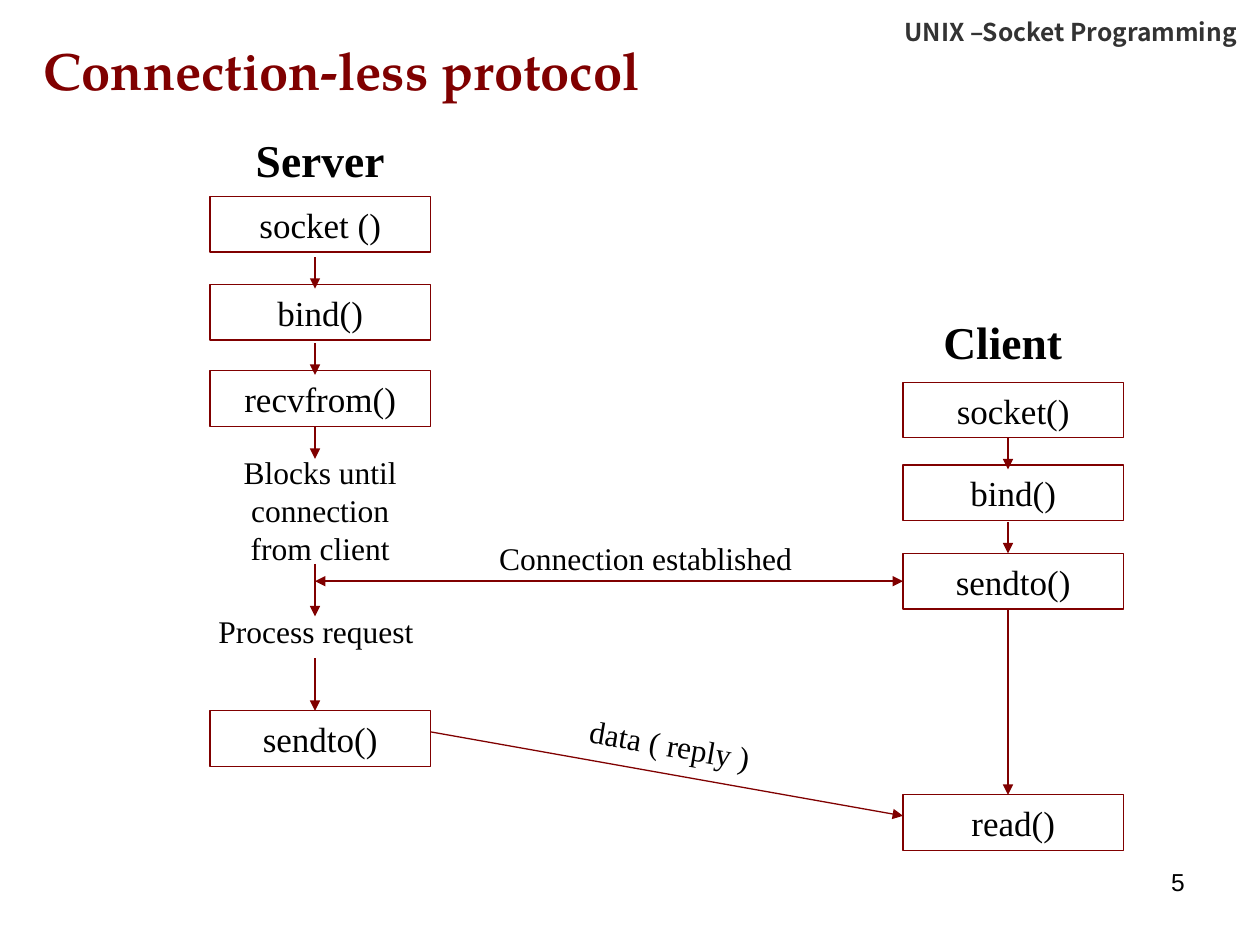
from lxml.etree import SubElement
from pptx import Presentation
from pptx.dml.color import RGBColor
from pptx.enum.shapes import MSO_CONNECTOR, MSO_SHAPE
from pptx.enum.text import MSO_AUTO_SIZE, PP_ALIGN
from pptx.oxml.ns import qn
from pptx.util import Inches, Pt

COLUMNS, ROWS = 120, 90
BOX_WIDTH, BOX_HEIGHT = 21, 5.3
SERVER_LEFT, CLIENT_LEFT = 20, 86
SERVER_FLOW, CLIENT_FLOW = 30, 96


def color(value):
    return RGBColor.from_string(value)


class FlowPage:
    """Draws a socket call flow on a grid of 120 columns by 90 rows."""

    maroon, black, gray = "800000", "000000", "333333"
    serif, title_font = "Times New Roman", "TeX Gyre Pagella"
    header_font, number_font = "Noto Sans CJK TC", "Arial"

    def __init__(self, deck):
        self.column = deck.slide_width / COLUMNS
        self.row = deck.slide_height / ROWS
        self.page = deck.slides.add_slide(deck.slide_layouts[6])

    def place(self, left, top, width, height):
        return (round(left * self.column), round(top * self.row),
                round(width * self.column), round(height * self.row))

    def fill_text(self, shape, words, size, font, ink, bold, align):
        frame = shape.text_frame
        frame.text = words
        frame.word_wrap = True
        frame.auto_size = MSO_AUTO_SIZE.SHAPE_TO_FIT_TEXT
        para = frame.paragraphs[0]
        para.alignment = align
        for span in para.runs:
            span.font.name = font
            span.font.size = Pt(size)
            span.font.bold = bold
            span.font.color.rgb = color(ink)

    def text(self, words, left, top, width, height, size=18, font=serif,
             ink=black, bold=False, align=PP_ALIGN.CENTER, turn=0):
        box = self.page.shapes.add_textbox(*self.place(left, top, width, height))
        self.fill_text(box, words, size, font, ink, bold, align)
        box.rotation = turn

    def call(self, words, left, top):
        box = self.page.shapes.add_shape(
            MSO_SHAPE.RECTANGLE, *self.place(left, top, BOX_WIDTH, BOX_HEIGHT))
        box.shadow.inherit = False
        box.fill.background()
        box.line.color.rgb = color(self.maroon)
        box.line.width = Pt(0.75)
        self.fill_text(box, words, 20, self.serif, self.black, False, PP_ALIGN.CENTER)
        return box

    def arrow(self, left, top, right, bottom, both=False):
        line = self.page.shapes.add_connector(
            MSO_CONNECTOR.STRAIGHT, *self.place(left, top, right, bottom))
        line.line.color.rgb = color(self.maroon)
        line.line.width = Pt(0.75)
        outline = line.line._get_or_add_ln()
        for end in ("a:headEnd", "a:tailEnd") if both else ("a:tailEnd",):
            SubElement(outline, qn(end)).set("type", "triangle")
        SubElement(line._element.spPr, qn("a:effectLst"))
        return line


def main():
    deck = Presentation()
    deck.slide_width, deck.slide_height = Inches(10), Inches(7.5)
    flow = FlowPage(deck)

    flow.text("UNIX –Socket Programming", 63, 1, 56, 4, 14, flow.header_font,
              flow.gray, True, PP_ALIGN.RIGHT)
    flow.text("Connection-less protocol", 3, 3, 80, 7.2, 30, flow.title_font,
              flow.maroon, True, PP_ALIGN.LEFT)
    flow.text("Server", SERVER_LEFT, 12, BOX_WIDTH, 6.5, 26, bold=True)
    flow.text("Client", 85, 29.3, BOX_WIDTH, 6.5, 26, bold=True)

    server_calls = [("socket ()", 18.7), ("bind()", 27.1),
                    ("recvfrom()", 35.3), ("sendto()", 67.7)]
    client_calls = [("socket()", 36.4), ("bind()", 44.3),
                    ("sendto()", 52.7), ("read()", 75.7)]
    for words, top in server_calls:
        flow.call(words, SERVER_LEFT, top)
    client = {words: flow.call(words, CLIENT_LEFT, top)
              for words, top in client_calls}

    flow.text("Blocks until connection from client", SERVER_LEFT, 42.6, BOX_WIDTH, 12)
    flow.text("Process request", 18.6, 57.7, 23, 4.8)
    flow.text("Connection established", 43, 50.7, 37, 4.8)
    flow.text("data ( reply )", 49.8, 68.5, 28, 4.8, turn=10)

    for top, length in [(24.5, 3), (32.7, 3), (40.7, 3), (53.7, 5), (62.7, 5)]:
        flow.arrow(SERVER_FLOW, top, SERVER_FLOW, top + length)
    for top, length in [(41.7, 3), (49.7, 3), (58, 17.7)]:
        flow.arrow(CLIENT_FLOW, top, CLIENT_FLOW, top + length)

    middle = 52.7 + BOX_HEIGHT / 2
    link = flow.arrow(SERVER_FLOW, middle, CLIENT_LEFT, middle, both=True)
    link.end_connect(client["sendto()"], 1)
    flow.arrow(SERVER_LEFT + BOX_WIDTH, 69.7, CLIENT_LEFT, 77.7)

    flow.text("5", 86, 82, 28, 6.2, 14, flow.number_font, align=PP_ALIGN.RIGHT)
    deck.save("out.pptx")


if __name__ == "__main__":
    main()
